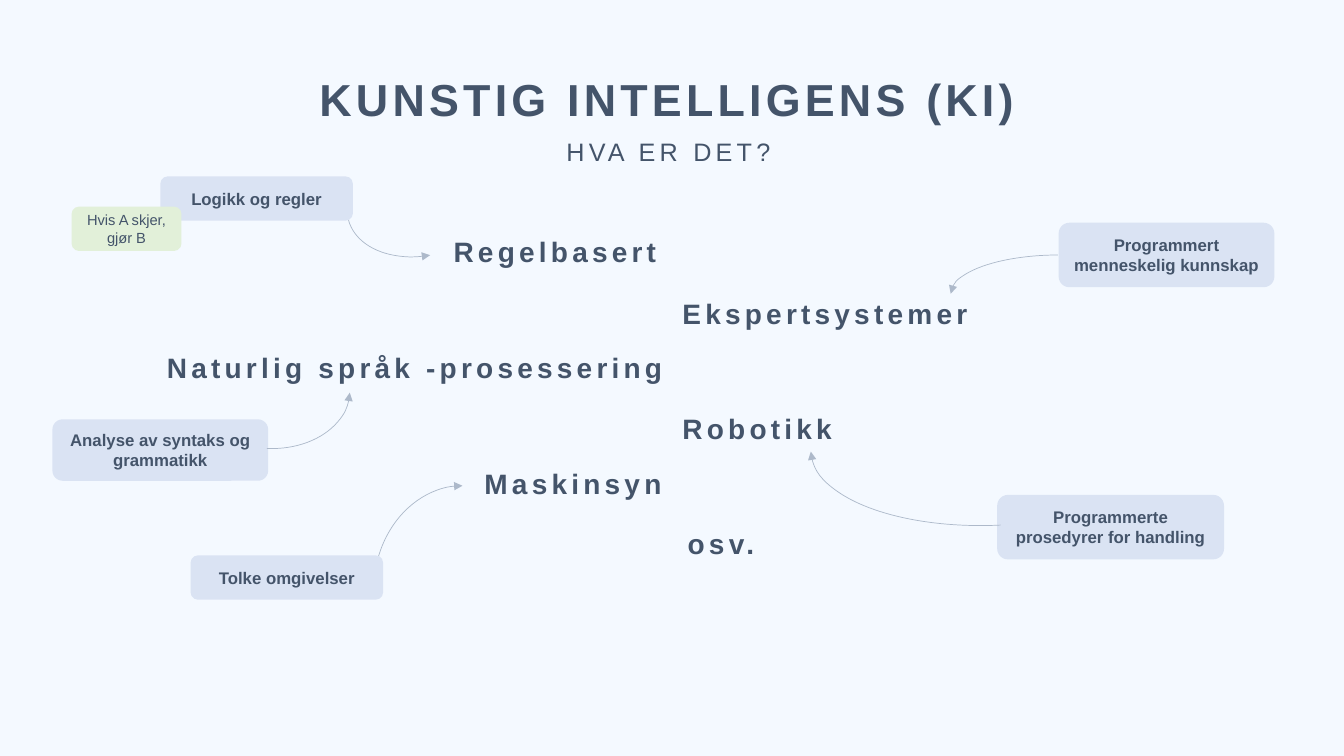
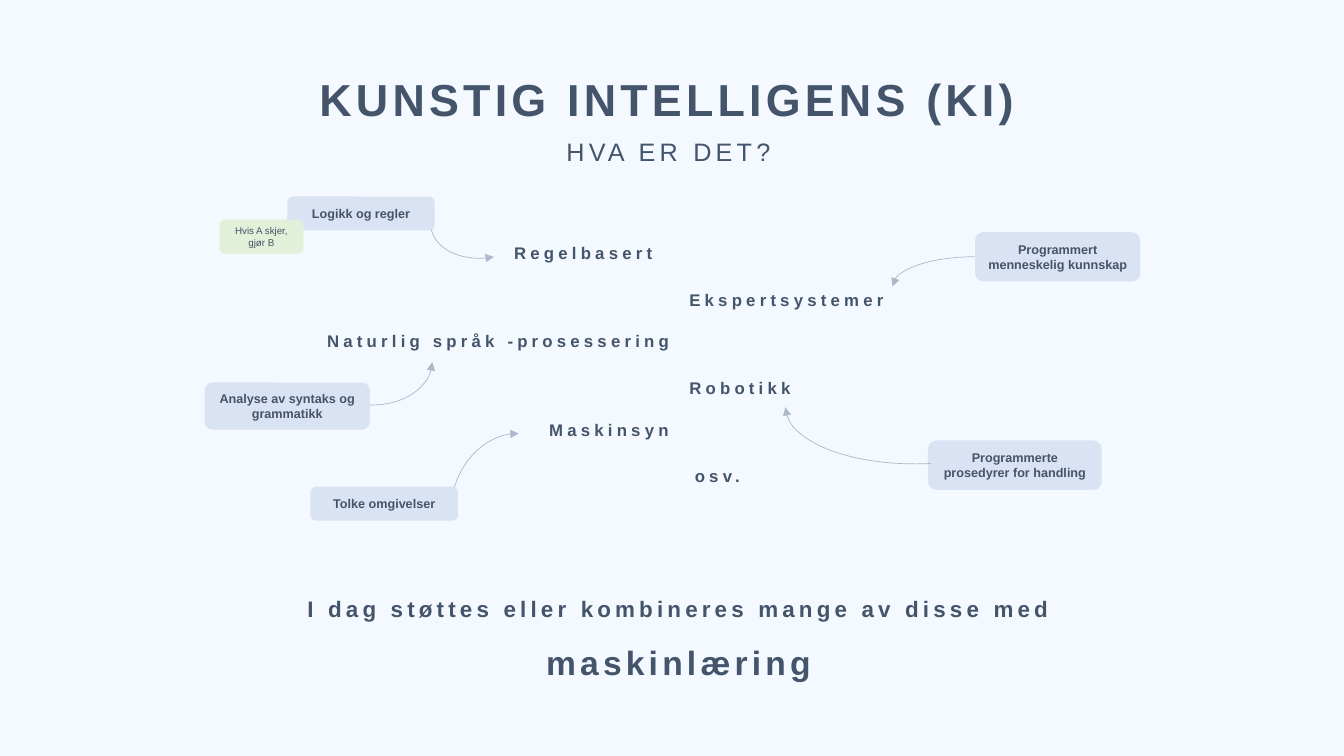
from pptx import Presentation
from pptx.dml.color import RGBColor
from pptx.enum.shapes import MSO_SHAPE
from pptx.enum.text import MSO_ANCHOR, PP_ALIGN
from pptx.oxml.ns import qn
from pptx.util import Emu, Pt
from lxml.etree import SubElement

SCALE = 9144  # EMU in one px: 100 px to the inch
WIDE, HIGH = 1333, 750

PALE = RGBColor(0xF4, 0xF9, 0xFF)
SLATE = RGBColor(0x44, 0x54, 0x6A)
BLUE = RGBColor(0xDA, 0xE3, 0xF3)
GREEN = RGBColor(0xE2, 0xF0, 0xD9)
GREY = RGBColor(0xAD, 0xB9, 0xCA)

LEFT, MID, RIGHT = PP_ALIGN.LEFT, PP_ALIGN.CENTER, PP_ALIGN.RIGHT
BOLD = {"name": "Arial", "bold": True}
PLAIN = {"name": "Arial", "bold": False}

# All diagram boxes are (left, top, width, height) within a span of 1212 px
SPAN = 1212
LABELS = [
    ("Robotikk", (615, 228, 200, 44), LEFT),
    ("Maskinsyn", (374, 283, 240, 44), RIGHT),
    ("Ekspertsystemer", (615, 114, 330, 44), LEFT),
    ("osv.", (600, 342, 106, 44), RIGHT),
    ("Regelbasert", (388, 53, 245, 44), LEFT),
    ("Naturlig språk -prosessering", (75, 168, 540, 44), RIGHT),
]
NOTES = [
    ("Logikk og regler", (107, 0, 191, 44), BLUE),
    ("Hvis A skjer, gjør B", (19, 30, 109, 44), GREEN),
    ("Programmert menneskelig kunnskap", (998, 46, 214, 64), BLUE),
    ("Analyse av syntaks og grammatikk", (0, 241, 214, 61), BLUE),
    ("Programmerte prosedyrer for handling", (937, 316, 225, 64), BLUE),
    ("Tolke omgivelser", (137, 376, 191, 44), BLUE),
]
# box, turn in degrees, flips, start and end of the arc
BEHIND = [
    ((315, -56, 110, 158), 75.2, "V", (161.31, 210.02)),
    ((305, 321, 188, 158), 284.7, "", (161.31, 210.02)),
]
FRONT = [
    ((891, 78, 214, 77), 0, "H", (162.65, 0)),
    ((136, 152, 159, 118), 2.6, "V", (162, 0)),
    ((752, 182, 369, 164), 357.2, "HV", (162, 0)),
]


def px(box):
    return [Emu(round(n * SCALE)) for n in box]


def write(para, text, size, style, align, gap=0):
    """Fill a paragraph; gap is the letter spacing in points."""
    para.alignment = align
    run = para.add_run()
    run.text = text
    for key, value in {**style, "size": Pt(size)}.items():
        setattr(run.font, key, value)
    run.font.color.rgb = SLATE
    if gap:
        run.font._element.set("spc", str(gap * 100))


def add_text(slide, box, lines, style=BOLD, align=LEFT, lead=None):
    """Add spaced-out text; lines holds (text, size) pairs."""
    frame = slide.shapes.add_textbox(*px(box)).text_frame
    frame.word_wrap = True
    for i, (text, size) in enumerate(lines):
        para = frame.add_paragraph() if i else frame.paragraphs[0]
        para.line_spacing = lead
        write(para, text, size, style, align, gap=3)


def add_note(slide, box, text, fill, size, style):
    note = slide.shapes.add_shape(MSO_SHAPE.ROUNDED_RECTANGLE, *px(box))
    note.shadow.inherit = False
    note.fill.solid()
    note.fill.fore_color.rgb = fill
    note.line.fill.background()
    frame = note.text_frame
    frame.word_wrap = True
    frame.vertical_anchor = MSO_ANCHOR.MIDDLE
    write(frame.paragraphs[0], text, size, style, MID)


def add_arc(slide, box, turn, flips, ends):
    arc = slide.shapes.add_shape(MSO_SHAPE.ARC, *px(box))
    arc.shadow.inherit = False
    arc.rotation = turn
    for i, end in enumerate(ends):
        arc.adjustments[i] = end
    for axis in flips:
        arc._element.spPr.find(qn("a:xfrm")).set("flip" + axis, "1")
    arc.fill.background()
    arc.line.color.rgb = GREY
    arc.line.width = Pt(0.5)
    line = arc._element.spPr.find(qn("a:ln"))
    SubElement(line, qn("a:tailEnd"), type="triangle")


def add_map(slide, left, top, width, sizes):
    """Draw the diagram at a width; sizes are for label, note and rule."""
    zoom = width / SPAN
    label, note, rule = sizes

    def fit(box):
        x, y, w, h = (n * zoom for n in box)
        return left + x, top + y, w, h

    for box, *form in BEHIND:
        add_arc(slide, fit(box), *form)
    for text, box, align in LABELS:
        add_text(slide, fit(box), [(text, label)], align=align)
    for text, box, fill in NOTES:
        size, style = (rule, PLAIN) if fill == GREEN else (note, BOLD)
        add_note(slide, fit(box), text, fill, size, style)
    for box, *form in FRONT:
        add_arc(slide, fit(box), *form)


def add_page(deck):
    """Add a slide with the shared background and titles."""
    slide = deck.slides.add_slide(deck.slide_layouts[6])
    slide.background.fill.solid()
    slide.background.fill.fore_color.rgb = PALE
    add_text(slide, (307, 66, 740, 64), [("KUNSTIG INTELLIGENS (KI)", 32)])
    add_text(slide, (552, 130, 240, 40), [("HVA ER DET?", 18)], PLAIN)
    return slide


def main():
    deck = Presentation()
    deck.slide_width, deck.slide_height = px((WIDE, HIGH))
    add_map(add_page(deck), 52, 175, SPAN, (20, 12, 10.5))
    last = add_page(deck)
    add_map(last, 203, 195, 928, (12, 9, 7))
    add_text(last, (283, 572, 780, 105), [
        ("I dag støttes eller kombineres mange av disse med", 16),
        ("maskinlæring", 24),
    ], align=MID, lead=1.5)
    deck.save("out.pptx")


if __name__ == "__main__":
    main()
